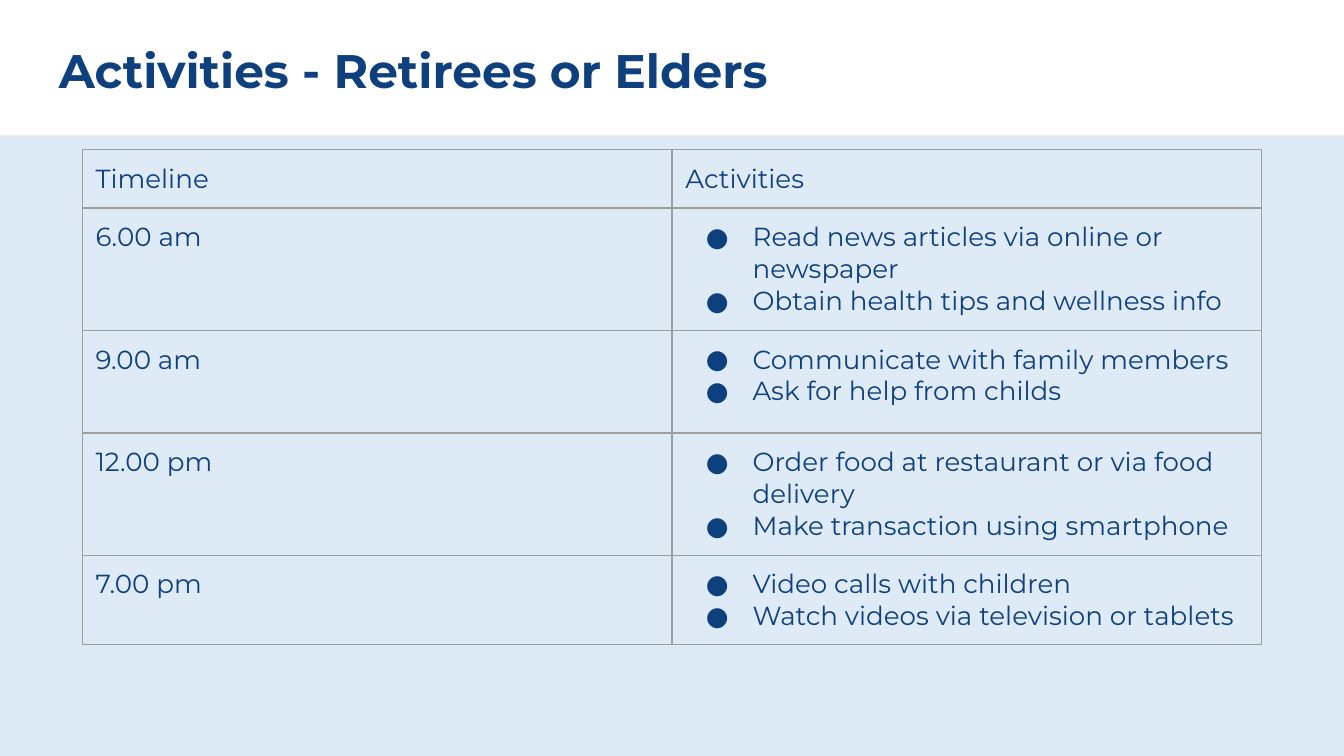
from lxml import etree
from pptx import Presentation
from pptx.dml.color import RGBColor
from pptx.enum.shapes import MSO_SHAPE
from pptx.oxml.ns import qn
from pptx.util import Pt

RECT = MSO_SHAPE.RECTANGLE
FONT = "Montserrat"
INSET = 7.2
COLORS = {"navy": "0F407E", "panel": "CFE2F3", "border": "9E9E9E"}
ROW_HEIGHTS = [31.5, 65.5, 55, 65.5, 48]
COL_WIDTH = 316
SCHEDULE = [
    ("6.00 am", ["Read news articles via online or newspaper",
                 "Obtain health tips and wellness info"]),
    ("9.00 am", ["Communicate with family members",
                 "Ask for help from childs"]),
    ("12.00 pm", ["Order food at restaurant or via food delivery",
                  "Make transaction using smartphone"]),
    ("7.00 pm", ["Video calls with children",
                 "Watch videos via television or tablets"]),
]


def rgb(name):
    return RGBColor.from_string(COLORS[name])


def add_color(parent, name):
    fill = etree.SubElement(parent, qn("a:solidFill"))
    etree.SubElement(fill, qn("a:srgbClr"), val=COLORS[name])


def add_bullet(p):
    pPr = p._p.get_or_add_pPr()
    pPr.set("marL", str(Pt(36)))
    pPr.set("indent", str(-Pt(25)))
    color = etree.SubElement(pPr, qn("a:buClr"))
    etree.SubElement(color, qn("a:srgbClr"), val=COLORS["navy"])
    etree.SubElement(pPr, qn("a:buFont"), typeface=FONT)
    etree.SubElement(pPr, qn("a:buChar"), char="●")


def write_text(tf, lines, size=14, bold=False, bullets=False, color="navy"):
    tf.word_wrap = True
    for i, line in enumerate(lines):
        p = tf.add_paragraph() if i else tf.paragraphs[0]
        if bullets:
            add_bullet(p)
        r = p.add_run()
        r.text = line
        r.font.name = FONT
        r.font.size = Pt(size)
        r.font.bold = bold
        r.font.color.rgb = rgb(color)


def set_insets(box):
    box.margin_left = box.margin_right = Pt(INSET)
    box.margin_top = box.margin_bottom = Pt(INSET)


def add_panel(s):
    sp = s.shapes.add_shape(RECT, Pt(0), Pt(72.5), Pt(720), Pt(332.5))
    sp.shadow.inherit = False
    sp.fill.solid()
    sp.fill.fore_color.rgb = rgb("panel")
    color = sp.fill._xPr.find(".//" + qn("a:srgbClr"))
    etree.SubElement(color, qn("a:alpha"), val="68000")
    sp.line.fill.background()


def add_title(s, text):
    tf = s.shapes.add_textbox(Pt(24.5), Pt(15), Pt(671), Pt(45.5)).text_frame
    set_insets(tf)
    write_text(tf, [text], size=25.2, bold=True)


def add_borders(cell):
    tcPr = cell._tc.get_or_add_tcPr()
    for i, side in enumerate(("lnL", "lnR", "lnT", "lnB")):
        ln = etree.Element(qn("a:" + side), w=str(Pt(0.75)))
        add_color(ln, "border")
        tcPr.insert(i, ln)


def fill_cell(cell, lines, bullets=False):
    set_insets(cell)
    cell.fill.background()
    add_borders(cell)
    write_text(cell.text_frame, lines, bullets=bullets)


def add_schedule(s):
    frame = s.shapes.add_table(len(ROW_HEIGHTS), 2, Pt(44), Pt(80),
                               Pt(2 * COL_WIDTH), Pt(sum(ROW_HEIGHTS)))
    table = frame.table
    table.first_row = table.horz_banding = False
    for col in table.columns:
        col.width = Pt(COL_WIDTH)
    for row, height in zip(table.rows, ROW_HEIGHTS):
        row.height = Pt(height)
    for col, heading in enumerate(("Timeline", "Activities")):
        fill_cell(table.cell(0, col), [heading])
    for row, (time, activities) in enumerate(SCHEDULE, 1):
        fill_cell(table.cell(row, 0), [time])
        fill_cell(table.cell(row, 1), activities, bullets=True)


def main():
    prs = Presentation()
    prs.slide_width, prs.slide_height = Pt(720), Pt(405)
    s = prs.slides.add_slide(prs.slide_layouts[6])
    add_panel(s)
    add_title(s, "Activities - Retirees or Elders")
    add_schedule(s)
    prs.save("out.pptx")


if __name__ == "__main__":
    main()
